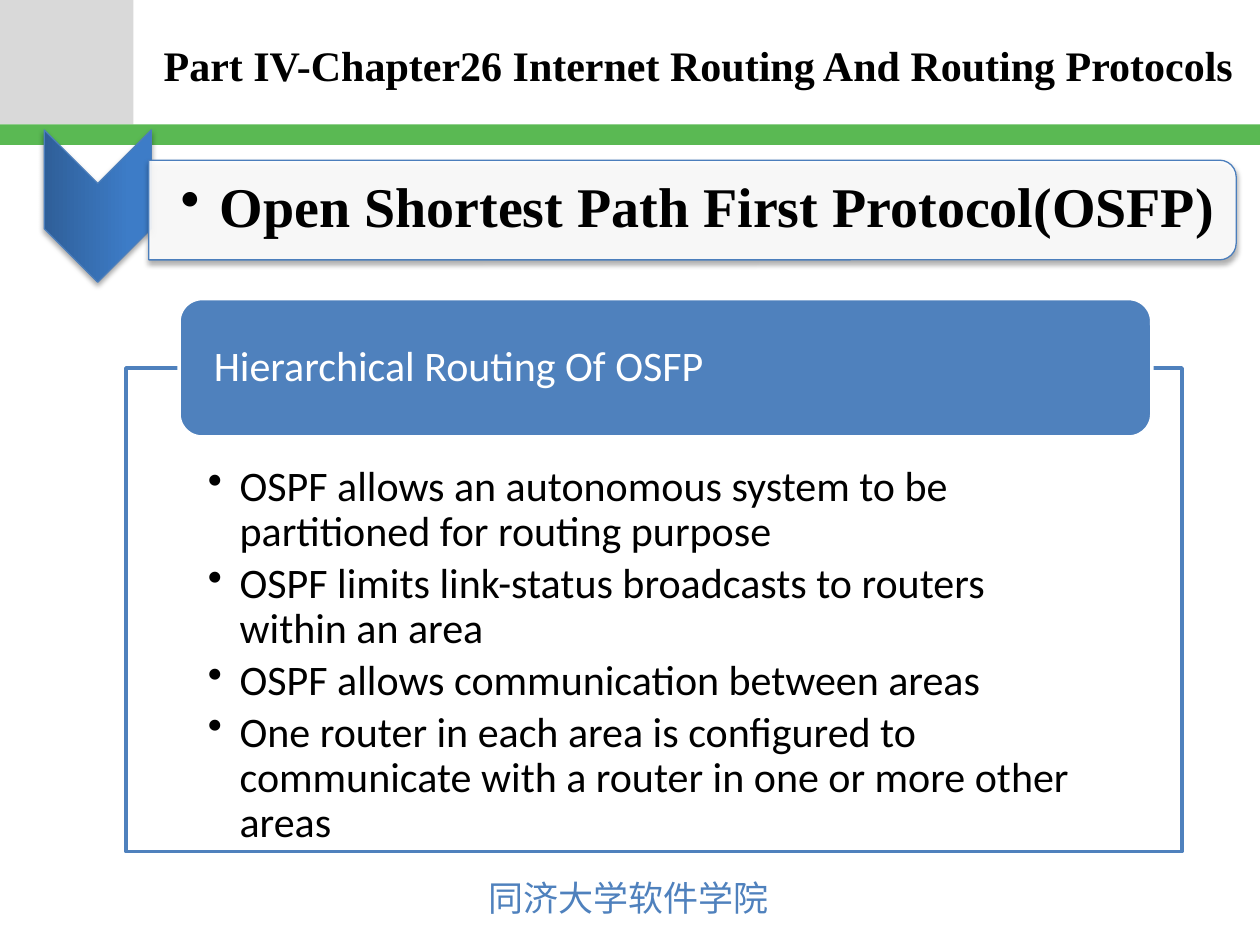
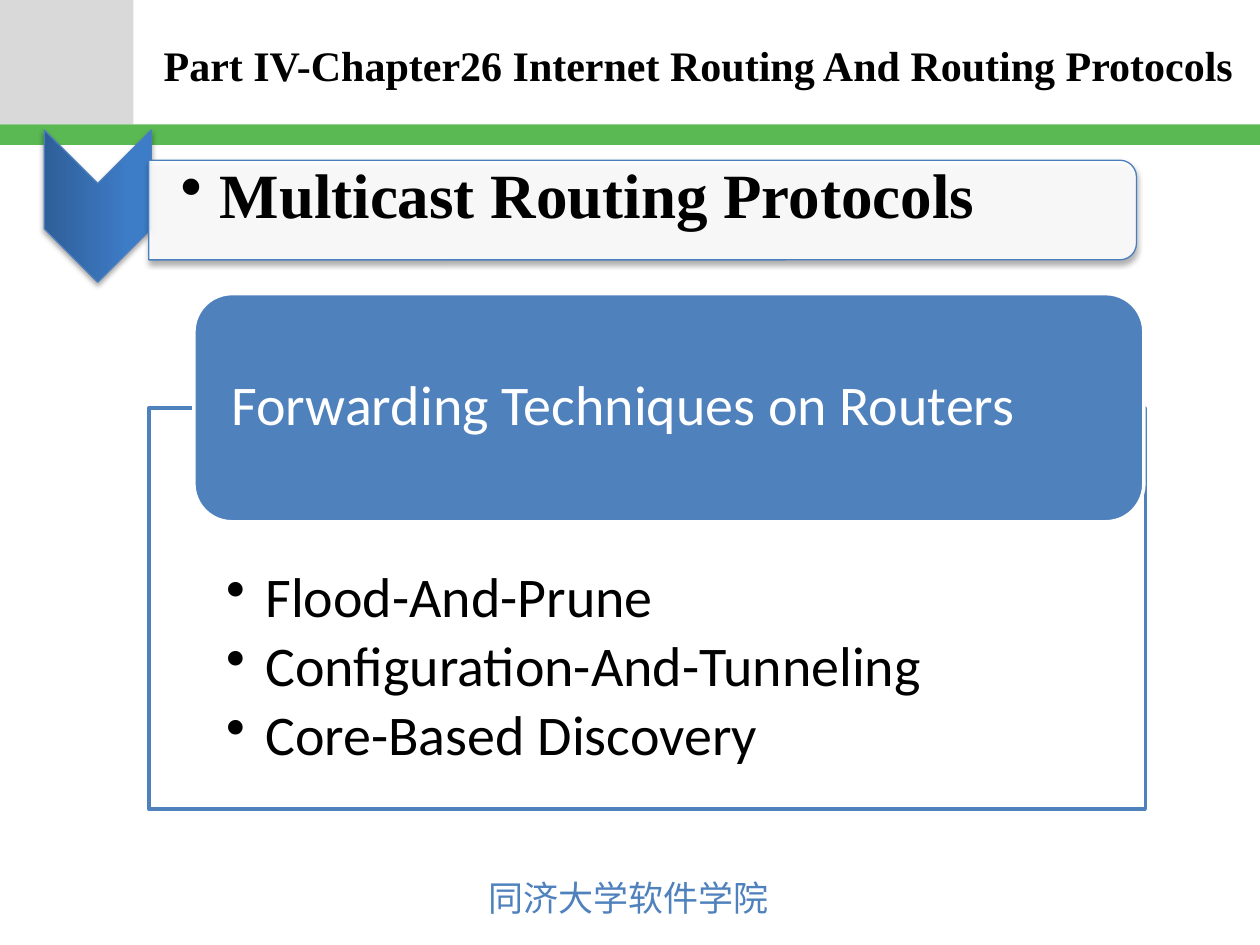
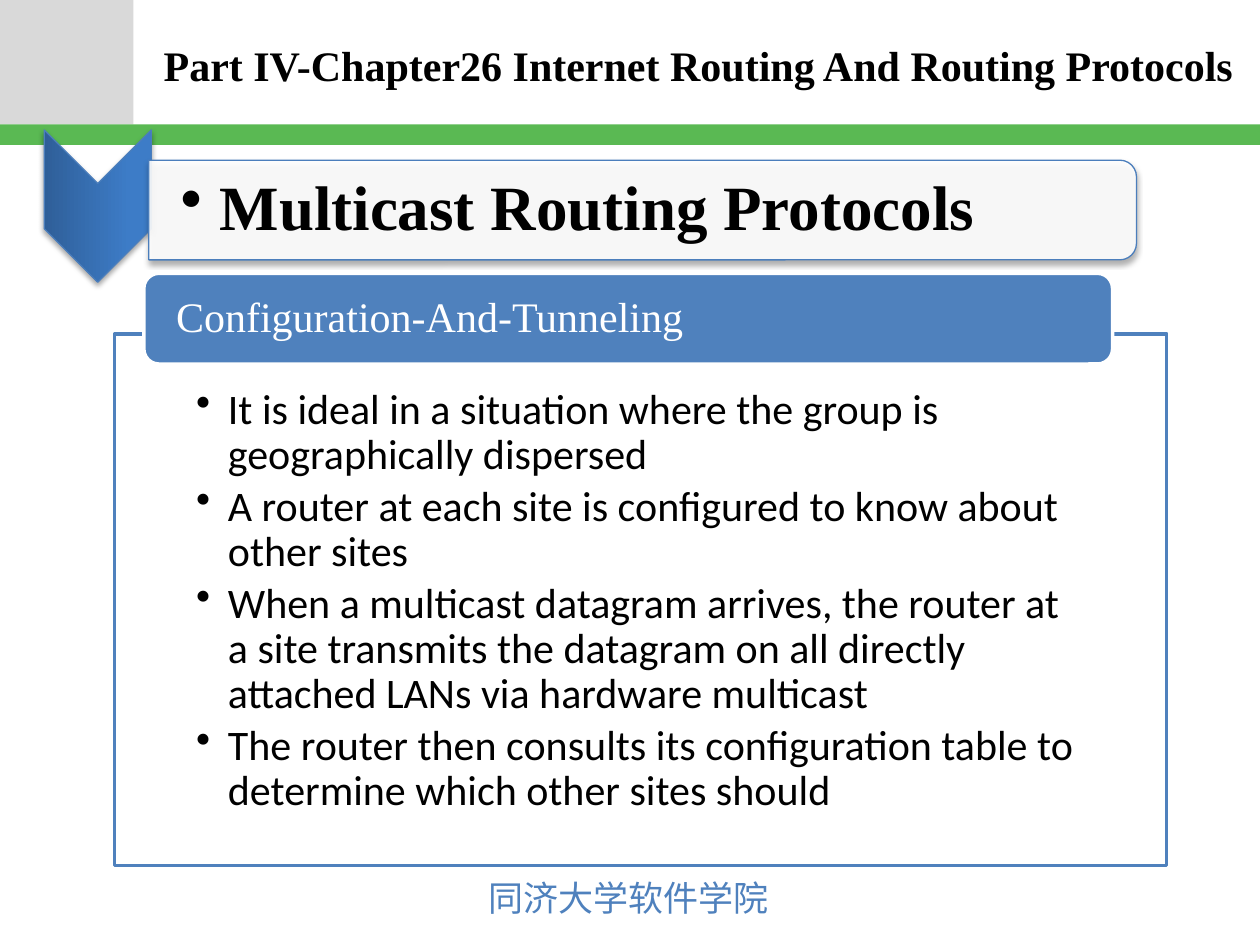
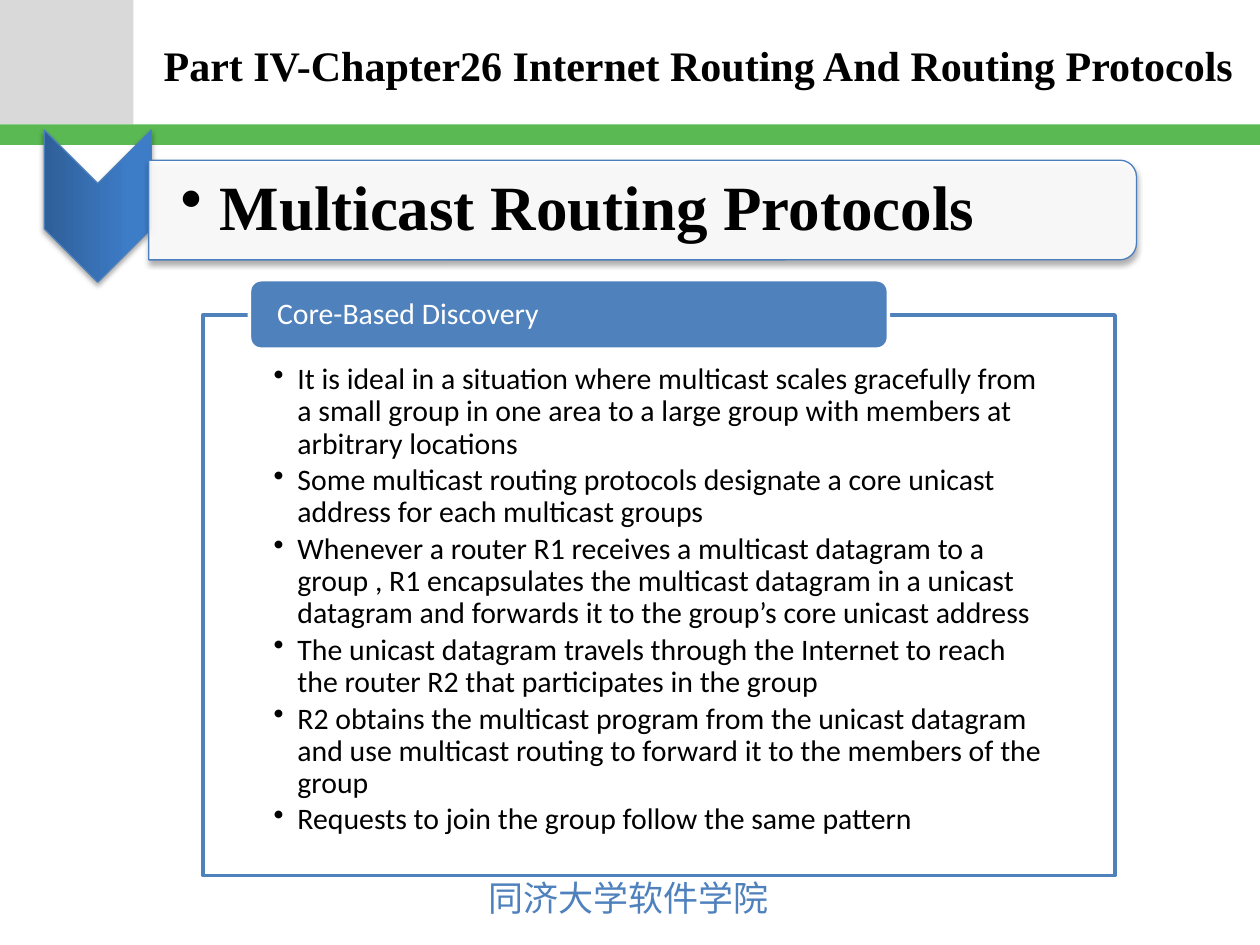
"""Build four lecture slides on routing protocols."""
from lxml.etree import SubElement
from pptx import Presentation
from pptx.dml.color import RGBColor
from pptx.enum.shapes import MSO_SHAPE
from pptx.enum.text import MSO_ANCHOR, PP_ALIGN
from pptx.oxml.ns import qn
from pptx.util import Cm, Pt

BLUE, EDGE, GREEN, GREY = "4F81BD", "4B7EBC", "5AB953", "D9D9D9"
BLACK, WHITE, DARK, LIGHT = "000000", "FFFFFF", "2F5F99", "3D7CC7"
SERIF, SANS, HAN = "Times New Roman", "Calibri", "Noto Sans CJK JP"
TITLE = "Part IV-Chapter26 Internet Routing And Routing Protocols"
SCHOOL = "同济大学软件学院"
CAST = "Multicast Routing Protocols"

SLIDES = [
    {
        "head": ("Open Shortest Path First Protocol(OSFP)", 32, 21.92, 3.33),
        "frame": (2.54, 7.42, 21.29, 9.75),
        "tab": (3.61, 6.02, 19.61, 2.79),
        "label": ("Hierarchical Routing Of OSFP", SANS),
        "style": (24, 0.64, 1.96),
        "items": [
            "OSPF allows an autonomous system to be partitioned for routing purpose",
            "OSPF limits link-status broadcasts to routers within an area",
            "OSPF allows communication between areas",
            "One router in each area is configured to communicate with a router "
            "in one or more other areas",
        ],
    },
    {
        "head": (CAST, 36, 19.91, 3.1),
        "frame": (3, 8.23, 20.09, 8.08),
        "tab": (3.91, 5.92, 19.15, 4.6),
        "label": ("Forwarding Techniques on Routers", SANS),
        "style": (32, 0.79, 3.25),
        "items": [
            "Flood-And-Prune",
            "Configuration-And-Tunneling",
            "Core-Based Discovery",
        ],
    },
    {
        "head": (CAST, 36, 19.91, 3.33),
        "frame": (2.31, 6.73, 21.21, 10.72),
        "tab": (2.9, 5.51, 19.53, 1.83),
        "label": ("Configuration-And-Tunneling", SERIF),
        "style": (24, 0.64, 1.09),
        "items": [
            "It is ideal in a situation where the group is geographically dispersed",
            "A router at each site is configured to know about other sites",
            "When a multicast datagram arrives, the router at a site transmits the "
            "datagram on all directly attached LANs via hardware multicast",
            "The router then consults its configuration table to determine which "
            "other sites should",
        ],
    },
    {
        "head": (CAST, 36, 19.91, 3.33),
        "frame": (4.09, 6.35, 18.39, 11.3),
        "tab": (5.03, 5.64, 12.88, 1.4),
        "label": ("Core-Based Discovery", SANS),
        "style": (17, 0.48, 0.99),
        "items": [
            "It is ideal in a situation where multicast scales gracefully from a "
            "small group in one area to a large group with members at arbitrary "
            "locations",
            "Some multicast routing protocols designate a core unicast address for "
            "each multicast groups",
            "Whenever a router R1 receives a multicast datagram to a group , R1 "
            "encapsulates the multicast datagram in a unicast datagram and forwards "
            "it to the group’s core unicast address",
            "The unicast datagram travels through the Internet to reach the router "
            "R2 that participates in the group",
            "R2 obtains the multicast program from the unicast datagram and use "
            "multicast routing to forward it to the members of the group",
            "Requests to join the group follow the same pattern",
        ],
    },
]


def hue(code):
    """Turn a hex string into a colour."""
    return RGBColor.from_string(code)


def shape(slide, kind, box, fill, line=None, width=0.75):
    """Add a flat preset shape; box is left, top, width, height in cm."""
    item = slide.shapes.add_shape(kind, *map(Cm, box))
    item.shadow.inherit = False
    item.fill.solid()
    item.fill.fore_color.rgb = hue(fill)
    if line:
        item.line.color.rgb = hue(line)
        item.line.width = Pt(width)
    else:
        item.line.fill.background()
    return item


def turned(slide, kind, box, fill):
    """Add a shadowed shape turned a quarter so that it covers the box."""
    left, top, wide, high = box
    shift = (wide - high) / 2
    item = shape(slide, kind, (left + shift, top - shift, high, wide), fill, EDGE)
    item.rotation = 90
    glow = SubElement(
        item._element.spPr.find(qn("a:effectLst")), qn("a:outerShdw"),
        blurRad="40000", dist="23000", dir="5400000", rotWithShape="0")
    tint = SubElement(glow, qn("a:srgbClr"), val=BLACK)
    SubElement(tint, qn("a:alpha"), val="35000")
    return item


def sheer(item):
    """Make a solid fill ninety percent opaque."""
    tint = item._element.spPr.find(qn("a:solidFill"))[0]
    SubElement(tint, qn("a:alpha"), val="90000")


def write(item, lines, font, size, color, bold=False, pads=(0.25, 0.13, 0.25, 0.13),
          anchor=MSO_ANCHOR.MIDDLE, space=1, after=0, indent=0):
    """Fill an item with paragraphs, bulleted where an indent is given."""
    frame = item.text_frame
    frame.word_wrap = True
    frame.vertical_anchor = anchor
    frame.margin_left, frame.margin_top, frame.margin_right, frame.margin_bottom = map(Cm, pads)
    frame.text = "\n".join(lines)
    for para in frame.paragraphs:
        para.alignment = PP_ALIGN.LEFT
        para.line_spacing = space
        para.space_after = Pt(size * after)
        para.font.name, para.font.size, para.font.bold = font, Pt(size), bold
        para.font.color.rgb = hue(color)
        if indent:
            bullet(para, indent)
    return frame


def bullet(para, indent):
    """Give a paragraph a hanging bullet."""
    para.level = 1
    props = para._p.get_or_add_pPr()
    props.set("marL", str(Cm(indent)))
    props.set("indent", str(-Cm(indent)))
    mark = props.makeelement(qn("a:buChar"), {"char": "•"})
    props.find(qn("a:defRPr")).addprevious(mark)


def text(slide, box, *args, **style):
    """Add a text box and write in it."""
    return write(slide.shapes.add_textbox(*map(Cm, box)), *args, **style)


def base(slide):
    """Draw the corner, band, footer and title that all slides share."""
    shape(slide, MSO_SHAPE.RECTANGLE, (0, 0, 2.69, 2.51), GREY)
    shape(slide, MSO_SHAPE.RECTANGLE, (0, 2.51, 25.4, 0.41), GREEN)
    foot = text(slide, (9.6, 17.53, 6.22, 1.12), [SCHOOL], HAN, 20, BLUE,
                anchor=MSO_ANCHOR.TOP)
    foot.word_wrap = False
    SubElement(foot.paragraphs[0].font._element, qn("a:ea"), typeface=HAN)
    text(slide, (3.05, 0.05, 22.35, 2.49), [TITLE], SERIF, 24, BLACK, bold=True)


def banner(slide, head, size, wide, top):
    """Draw the chevron and the heading beside it."""
    arrow = turned(slide, MSO_SHAPE.CHEVRON, (0.89, 2.62, 2.16, 3.07), BLUE)
    arrow.fill.gradient()
    arrow.fill.gradient_angle = 90
    for stop, code, place in zip(arrow.fill.gradient_stops, (DARK, LIGHT), (0, 0.8)):
        stop.color.rgb, stop.position = hue(code), place
    sheer(turned(slide, MSO_SHAPE.ROUND_2_SAME_RECTANGLE, (3, 3.23, wide, 2.01), WHITE))
    text(slide, (3, top, wide - 0.1, 1.8), [head], SERIF, size, BLACK, bold=True,
         pads=(0.64, 0.05, 0.05, 0.05), space=0.9, after=0.15, indent=0.79)


def panel(slide, frame, tab, label, style, items):
    """Draw a framed list with a tab on its upper edge."""
    size, indent, drop = style
    title, font = label
    side, inset = frame[2] * 0.0776, frame[2] * 0.0265
    body = shape(slide, MSO_SHAPE.RECTANGLE, frame, WHITE, BLUE, 2)
    sheer(body)
    write(body, items, SANS, size, BLACK, pads=(side, drop, side, size * 0.02),
          anchor=MSO_ANCHOR.TOP, space=0.9, after=0.15, indent=indent)
    cap = shape(slide, MSO_SHAPE.ROUNDED_RECTANGLE, tab, BLUE, WHITE, 2)
    write(cap, [title], font, size, WHITE, pads=(inset, 0, inset, 0),
          space=0.9, after=0.35)


def main():
    """Build and save the deck."""
    deck = Presentation()
    deck.slide_width, deck.slide_height = Cm(25.4), Cm(19.05)
    for page in SLIDES:
        slide = deck.slides.add_slide(deck.slide_layouts[6])
        base(slide)
        banner(slide, *page["head"])
        panel(slide, page["frame"], page["tab"], page["label"], page["style"], page["items"])
    deck.save("out.pptx")


if __name__ == "__main__":
    main()
